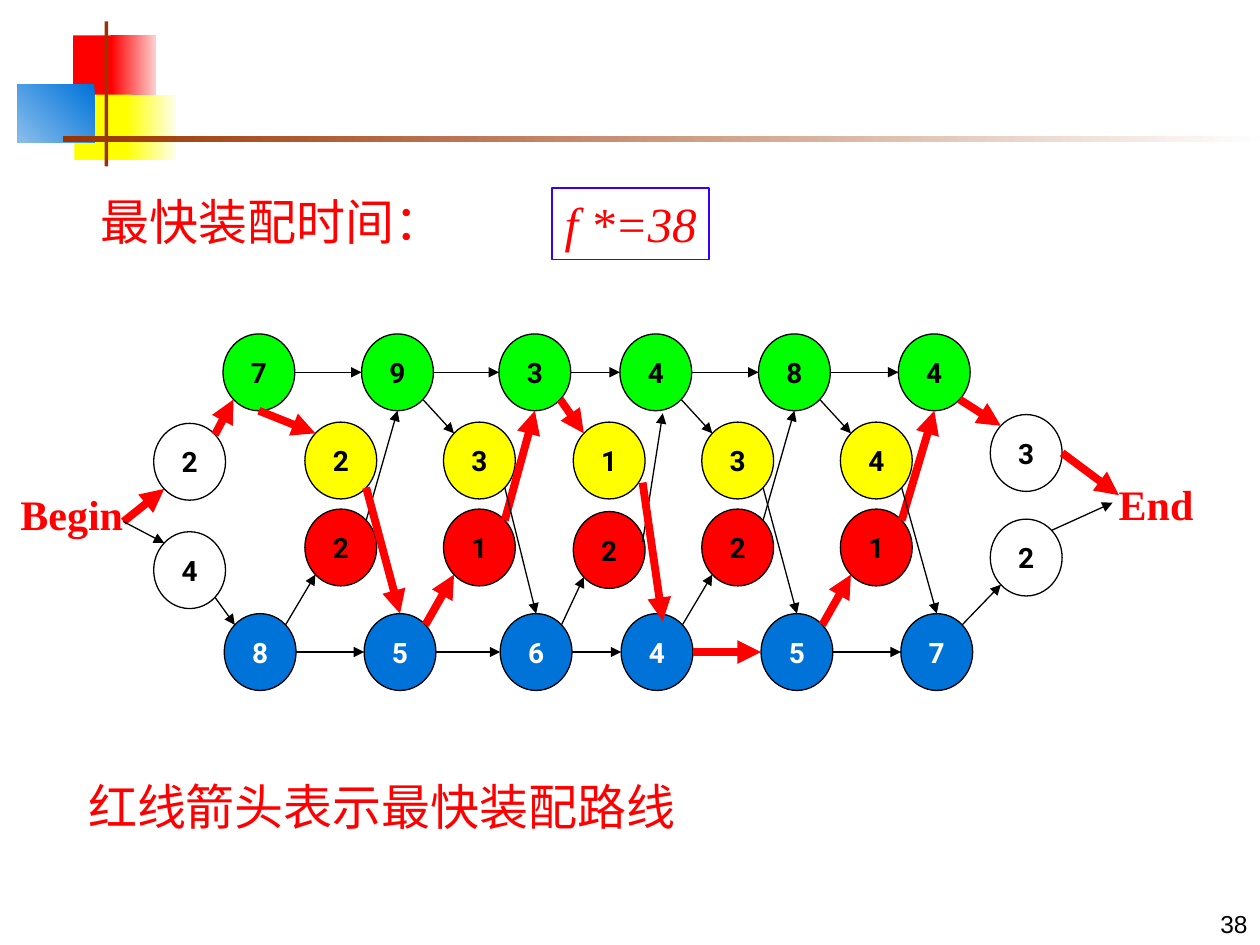
from collections import namedtuple
from dataclasses import dataclass
from math import sqrt

from lxml import etree
from pptx import Presentation
from pptx.dml.color import RGBColor
from pptx.enum.shapes import MSO_CONNECTOR, MSO_SHAPE
from pptx.enum.text import MSO_ANCHOR, MSO_AUTO_SIZE, PP_ALIGN
from pptx.oxml.ns import qn
from pptx.util import Inches, Pt

RECT, OVAL = MSO_SHAPE.RECTANGLE, MSO_SHAPE.OVAL
STRAIGHT = MSO_CONNECTOR.STRAIGHT
CENTER, RIGHT = PP_ALIGN.CENTER, PP_ALIGN.RIGHT
TOP, MIDDLE, BOTTOM = MSO_ANCHOR.TOP, MSO_ANCHOR.MIDDLE, MSO_ANCHOR.BOTTOM
NO_AUTOFIT = MSO_AUTO_SIZE.NONE

Box = namedtuple("Box", "left top width height")


@dataclass(frozen=True)
class Theme:
    black: str = "000000"
    white: str = "FFFFFF"
    red: str = "FF0000"
    green: str = "00FF00"
    yellow: str = "FFFF00"
    blue: str = "0073D9"
    brown: str = "993300"
    frame: str = "3300FF"
    pale_red: str = "FED0D0"
    pale_yellow: str = "FEFEEF"
    pale_blue: str = "8ABEEC"
    pale_brown: str = "FEFEFE"
    serif: str = "Times New Roman"
    node_font: str = "Roboto"
    number_font: str = "Arial"
    statement_size: int = 28
    label_size: int = 24
    node_size: int = 16
    number_size: int = 14
    thin: float = 0.75
    frame_width: float = 1
    thick: float = 4.5


THEME = Theme()
NODE_W, NODE_H = 0.57, 0.61

# Points on a node's outline, as fractions of its width and height
NEAR, FAR = 0.5 - sqrt(2) / 4, 0.5 + sqrt(2) / 4
SITES = {"n": (0.5, 0), "s": (0.5, 1), "w": (0, 0.5), "e": (1, 0.5),
         "nw": (NEAR, NEAR), "ne": (FAR, NEAR), "sw": (NEAR, FAR), "se": (FAR, FAR)}


def rgb(color):
    return RGBColor.from_string(color)


def inches(*lengths):
    return [Inches(length) for length in lengths]


def write(shape, text, size, font, color, bold=False, italic=False,
          align=CENTER, anchor=TOP, wrap=False):
    frame = shape.text_frame
    frame.text = text
    frame.auto_size = NO_AUTOFIT
    frame.word_wrap = wrap
    frame.vertical_anchor = anchor
    paragraph = frame.paragraphs[0]
    paragraph.alignment = align
    style = paragraph.runs[0].font
    style.size, style.name, style.color.rgb = Pt(size), font, rgb(color)
    style.bold, style.italic = bold, italic


def add_text(slide, box, *args, **style):
    write(slide.shapes.add_textbox(*inches(*box)), *args, **style)


def add_shape(slide, kind, box, fill=None, line=None, width=THEME.thin):
    shape = slide.shapes.add_shape(kind, *inches(*box))
    shape.shadow.inherit = False
    if fill:
        shape.fill.solid()
        shape.fill.fore_color.rgb = rgb(fill)
    else:
        shape.fill.background()
    if line:
        shape.line.color.rgb = rgb(line)
        shape.line.width = Pt(width)
    else:
        shape.line.fill.background()
    return shape


def add_gradient(slide, box, start, end, angle=180):
    fill = add_shape(slide, RECT, box).fill
    fill.gradient()
    fill.gradient_angle = angle
    for stop, color in zip(fill.gradient_stops, (start, end)):
        stop.color.rgb = rgb(color)


def add_arrow(slide, start, end, fastest=False):
    arrow = slide.shapes.add_connector(STRAIGHT, *inches(*start, *end))
    arrow.line.color.rgb = rgb(THEME.red if fastest else THEME.black)
    arrow.line.width = Pt(THEME.thick if fastest else THEME.thin)
    line = arrow.line._get_or_add_ln()
    etree.SubElement(line, qn("a:tailEnd"), type="triangle")
    etree.SubElement(arrow._element.spPr, qn("a:effectLst"))


def draw_banner(slide, box):
    """Coloured blocks crossed by two brown rules."""
    def at(x, y, w, h):
        return Box(box.left + x, box.top + y, w, h)

    add_shape(slide, RECT, at(0.44, 0.11, 0.35, 0.52), THEME.red)
    add_gradient(slide, at(0.74, 0.11, 0.36, 0.52), THEME.pale_red, THEME.red)
    add_shape(slide, RECT, at(0.45, 0.58, 0.46, 0.52), THEME.yellow)
    add_gradient(slide, at(0.86, 0.58, 0.4, 0.52), THEME.pale_yellow, THEME.yellow)
    add_gradient(slide, at(0, 0.5, 0.61, 0.46), THEME.blue, THEME.pale_blue, 225)
    add_shape(slide, RECT, at(0.69, 0, 0.03, box.height), THEME.brown)
    add_gradient(slide, at(0.36, 0.91, box.width - 0.36, 0.05),
                 THEME.pale_brown, THEME.brown)


def draw_result(slide, box):
    """Heading and the framed fastest time."""
    title = slide.shapes.title
    title.left, title.top, title.width, title.height = inches(
        box.left, box.top, 2.92, 0.57)
    style = (THEME.statement_size, THEME.serif, THEME.red)
    write(title, "最快装配时间：", *style)
    time = add_shape(slide, RECT, Box(box.left + box.width - 1.25, box.top + 0.02, 1.25, 0.57),
                     line=THEME.frame, width=THEME.frame_width)
    write(time, "f *=38", *style, italic=True)


def draw_assembly_lines(slide, box):
    """Two assembly lines, the transfers between them, and the fastest route."""
    def point(x, y):
        return box.left + x, box.top + y

    # Each row: digits, left edges, tops, fill, digit colour
    top_x = (1.77, 2.87, 3.96, 4.92, 6.02, 7.13)
    bottom_x = (1.78, 2.89, 3.97, 4.93, 6.04, 7.15)
    transfer_x = (2.42, 3.52, 4.55, 5.57, 6.67)
    rows = {
        "entry": ("24", (1.22,) * 2, (0.71, 1.57), THEME.white, THEME.black),
        "exit": ("32", (7.86,) * 2, (0.64, 1.47), THEME.white, THEME.black),
        "top": ("793484", top_x, (0,) * 6, THEME.green, THEME.black),
        "bottom": ("856457", bottom_x, (2.22,) * 6, THEME.blue, THEME.white),
        "down": ("23134", transfer_x, (0.7,) * 5, THEME.yellow, THEME.black),
        "up": ("21221", transfer_x, (1.39, 1.39, 1.41, 1.39, 1.39), THEME.red, THEME.black),
    }
    for digits, lefts, tops, fill, color in rows.values():
        for digit, x, y in zip(digits, lefts, tops):
            node = add_shape(slide, OVAL, Box(*point(x, y), NODE_W, NODE_H), fill, THEME.black)
            write(node, digit, THEME.node_size, THEME.node_font, color,
                  bold=True, anchor=MIDDLE, wrap=True)

    def site(row, index, side):
        lefts, tops = rows[row][1:3]
        across, down = SITES[side]
        return point(lefts[index] + across * NODE_W, tops[index] + down * NODE_H)

    # Transfers from one line to the next station of the other
    for i in range(5):
        up_start, up_end = site("up", i, "ne"), site("top", i + 1, "n")
        up_start, up_end = site("up", i, "ne"), site("top", i + 1, "s")
        down_start, down_end = site("down", i, "se"), site("bottom", i + 1, "n")
        if i == 2:  # the middle pair runs closer to the nodes' right edge
            up_start, up_end = point(5.1, 1.65), point(5.26, 0.63)
            down_start, down_end = point(5.1, 1.18), point(5.26, 2.28)
        add_arrow(slide, site("bottom", i, "ne"), site("up", i, "sw"), i in (1, 4))
        add_arrow(slide, up_start, up_end, i in (1, 4))
        add_arrow(slide, site("top", i, "s" if i == 0 else "se"),
                  site("down", i, "nw"), i in (0, 2))
        add_arrow(slide, down_start, down_end, i in (0, 2))

    # Stations along each line
    for row in ("top", "bottom"):
        for i in range(5):
            add_arrow(slide, site(row, i, "e"), site(row, i + 1, "w"),
                      (row, i) == ("bottom", 3))

    # Ways in and out
    begin = point(0.98, 1.49)
    add_arrow(slide, begin, site("entry", 0, "sw"), True)
    add_arrow(slide, begin, site("entry", 1, "nw"))
    add_arrow(slide, site("entry", 0, "ne"), site("top", 0, "sw"), True)
    add_arrow(slide, site("entry", 1, "se"), site("bottom", 0, "nw"))
    add_arrow(slide, site("top", 5, "se"), site("exit", 0, "nw"), True)
    add_arrow(slide, site("bottom", 5, "ne"), site("exit", 1, "sw"))
    add_arrow(slide, site("exit", 0, "e"), point(8.88, 1.28), True)
    add_arrow(slide, site("exit", 1, "ne"), point(8.83, 1.34))
    for label, x, y, width in (("Begin", 0, 1.18, 1.14), ("End", 8.78, 1.1, 0.79)):
        add_text(slide, Box(*point(x, y), width, 0.5), label,
                 THEME.label_size, THEME.serif, THEME.red, bold=True)


def draw_footer(slide, note_box, number_box):
    """Legend sentence and page number."""
    add_text(slide, note_box, "红线箭头表示最快装配路线",
             THEME.statement_size, THEME.serif, THEME.red)
    add_text(slide, number_box, "38", THEME.number_size, THEME.number_font,
             THEME.black, align=RIGHT, anchor=BOTTOM, wrap=True)


def main():
    deck = Presentation()
    deck.slide_width, deck.slide_height = inches(10, 7.5)
    slide = deck.slides.add_slide(deck.slide_layouts[5])
    draw_banner(slide, Box(0.14, 0.17, 9.86, 1.15))
    draw_result(slide, Box(0.7, 1.47, 4.93, 0.59))
    draw_assembly_lines(slide, Box(0, 2.65, 9.57, 2.83))
    draw_footer(slide, Box(0.6, 6.11, 4.86, 0.57), Box(7.92, 7, 2.08, 0.5))
    deck.save("out.pptx")


if __name__ == "__main__":
    main()
